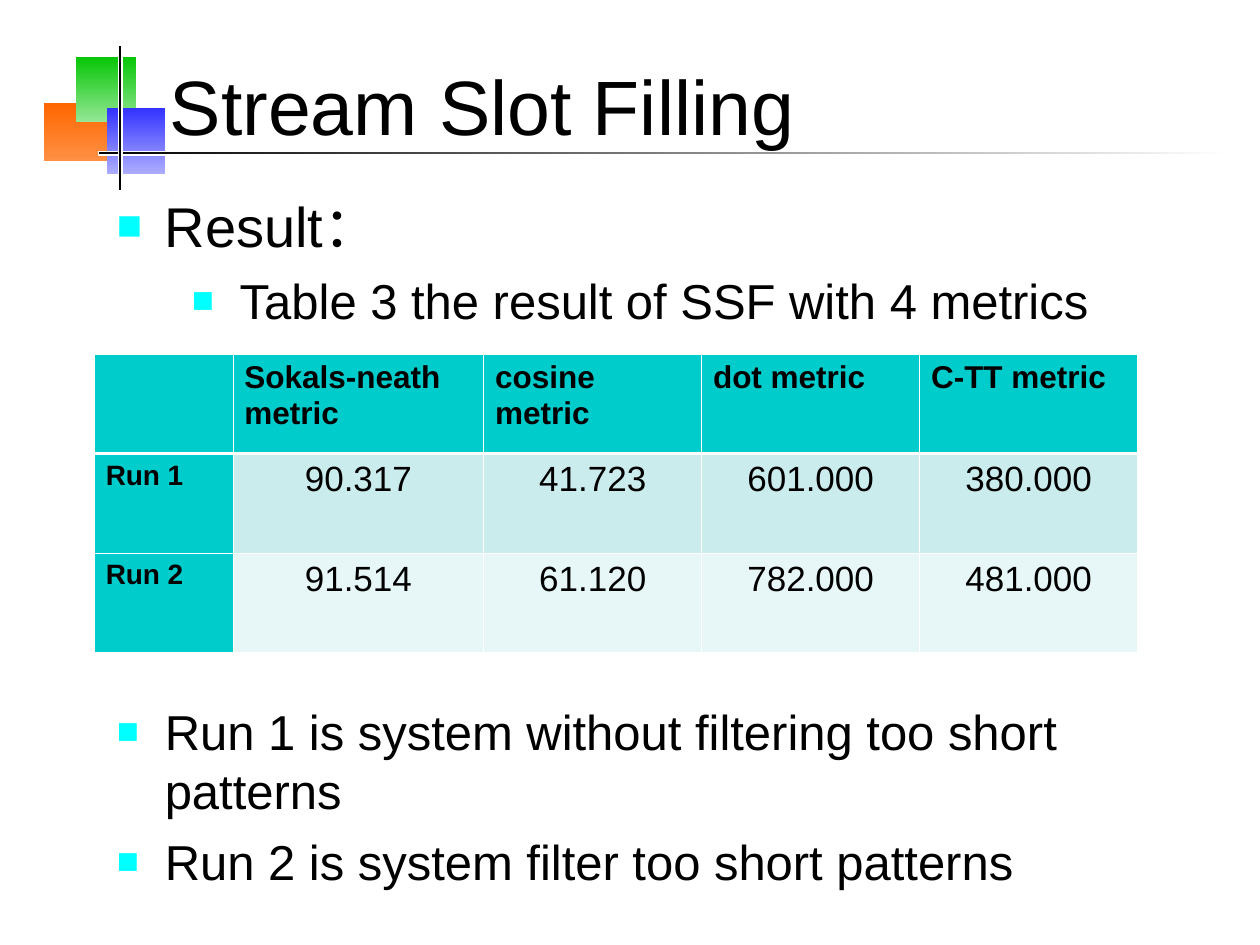
from lxml.etree import SubElement
from pptx import Presentation
from pptx.dml.color import RGBColor
from pptx.enum.shapes import MSO_SHAPE
from pptx.enum.text import MSO_ANCHOR, PP_ALIGN
from pptx.oxml.ns import qn
from pptx.util import Inches, Pt

FONT = "Arial"
COLORS = {
    "text": "000000", "white": "FFFFFF", "bullet": "00FFFF",
    "header": "00CCCC", "band_dark": "CBECEC", "band_light": "E7F6F6",
    "orange": "FF6600", "orange_end": "FF9044",
    "green": "06C606", "green_end": "95E795",
    "blue": "3333FF", "blue_end": "ADADFF",
}
TITLE = "Stream Slot Filling"
INTRO = [("Result：", 32, 8, PP_ALIGN.LEFT),
         ("Table 3 the result of SSF with 4 metrics", 28, 7, PP_ALIGN.CENTER)]
NOTES = [("Run 1 is system without filtering too short patterns", 28, 7, PP_ALIGN.LEFT),
         ("Run 2 is system filter too short patterns", 28, 7, PP_ALIGN.LEFT)]
RESULTS = [
    ["", "Sokals-neath metric", "cosine metric", "dot metric", "C-TT metric"],
    ["Run 1", "90.317", "41.723", "601.000", "380.000"],
    ["Run 2", "91.514", "61.120", "782.000", "481.000"],
]
COLUMN_WIDTHS = [1.1, 1.99, 1.73, 1.73, 1.73]
ROW_HEIGHT = 0.79
DECORATIONS = [
    ((0.35, 0.82, 0.61, 0.46), "orange", "orange_end", 270, False),
    ((0.6, 0.45, 0.48, 0.52), "green", "green_end", 270, False),
    ((0.85, 0.86, 0.46, 0.52), "blue", "blue_end", 270, False),
    ((0.78, 1.2, 9, 0.03), "text", "white", 0, True),
    ((0.94, 0.36, 0.03, 1.15), "text", None, 0, True),
]


def color(name):
    return RGBColor.from_string(COLORS[name])


def add_decoration(slide, box, start, end, angle, outlined):
    shape = slide.shapes.add_shape(MSO_SHAPE.RECTANGLE, *map(Inches, box))
    shape.shadow.inherit = False
    if end:
        shape.fill.gradient()
        shape.fill.gradient_angle = angle
        for stop, name, position in zip(shape.fill.gradient_stops, (start, end), (0, 1)):
            stop.color.rgb = color(name)
            stop.position = position
    else:
        shape.fill.solid()
        shape.fill.fore_color.rgb = color(start)
    if outlined:
        shape.line.color.rgb = color("white")
        shape.line.width = Pt(0.75)
    else:
        shape.line.fill.background()


def add_run(paragraph, text, size, bold=False):
    run = paragraph.add_run()
    run.text = text
    run.font.name = FONT
    run.font.size = Pt(size)
    run.font.bold = bold
    run.font.color.rgb = color("text")


def add_text_frame(slide, box):
    frame = slide.shapes.add_textbox(*map(Inches, box)).text_frame
    frame.word_wrap = True
    return frame


def add_bullet(paragraph):
    properties = paragraph._p.get_or_add_pPr()
    properties.set("marL", str(Inches(0.38)))
    properties.set("indent", str(-Inches(0.38)))
    bullet_color = SubElement(properties, qn("a:buClr"))
    SubElement(bullet_color, qn("a:srgbClr"), val=COLORS["bullet"])
    SubElement(properties, qn("a:buSzPct"), val="75000")
    SubElement(properties, qn("a:buFont"), typeface=FONT)
    SubElement(properties, qn("a:buChar"), char="■")


def add_bullet_list(slide, box, items):
    frame = add_text_frame(slide, box)
    for index, (text, size, space, alignment) in enumerate(items):
        paragraph = frame.add_paragraph() if index else frame.paragraphs[0]
        paragraph.alignment = alignment
        paragraph.space_before = Pt(space)
        add_bullet(paragraph)
        add_run(paragraph, text, size)


def add_border(cell, side, width):
    line = SubElement(cell._tc.get_or_add_tcPr(), qn(f"a:ln{side}"), w=str(Pt(width)))
    fill = SubElement(line, qn("a:solidFill"))
    SubElement(fill, qn("a:srgbClr"), val=COLORS["white"])


def format_cell(cell, text, row, column):
    for side in "LRTB":
        thick = (row, side) in ((0, "B"), (1, "T"))
        add_border(cell, side, 1.47 if thick else 0.45)
    is_label = row == 0 or column == 0
    band = "band_dark" if row == 1 else "band_light"
    cell.fill.solid()
    cell.fill.fore_color.rgb = color("header" if is_label else band)
    cell.margin_left = cell.margin_right = Inches(0.09)
    if text:
        paragraph = cell.text_frame.paragraphs[0]
        paragraph.alignment = PP_ALIGN.JUSTIFY if is_label else PP_ALIGN.CENTER
        size = 18 if row == 0 else 16 if column == 0 else 20
        add_run(paragraph, text, size, is_label)


def add_results_table(slide):
    rows, columns = len(RESULTS), len(COLUMN_WIDTHS)
    box = (0.75, 2.81, sum(COLUMN_WIDTHS), rows * ROW_HEIGHT)
    table = slide.shapes.add_table(rows, columns, *map(Inches, box)).table
    for column, width in zip(table.columns, COLUMN_WIDTHS):
        column.width = Inches(width)
    for row_index, values in enumerate(RESULTS):
        table.rows[row_index].height = Inches(ROW_HEIGHT)
        for column_index, text in enumerate(values):
            format_cell(table.cell(row_index, column_index), text, row_index, column_index)


def main():
    presentation = Presentation()
    presentation.slide_width = Inches(10)
    presentation.slide_height = Inches(7.5)
    slide = presentation.slides.add_slide(presentation.slide_layouts[6])
    for decoration in DECORATIONS:
        add_decoration(slide, *decoration)
    title = add_text_frame(slide, (1.25, 0.28, 8.5, 1.1))
    title.vertical_anchor = MSO_ANCHOR.MIDDLE
    add_run(title.paragraphs[0], TITLE, 44)
    add_bullet_list(slide, (0.83, 1.47, 8.5, 1.25), INTRO)
    add_bullet_list(slide, (0.83, 5.52, 8.5, 1.62), NOTES)
    add_results_table(slide)
    presentation.save("out.pptx")


if __name__ == "__main__":
    main()
